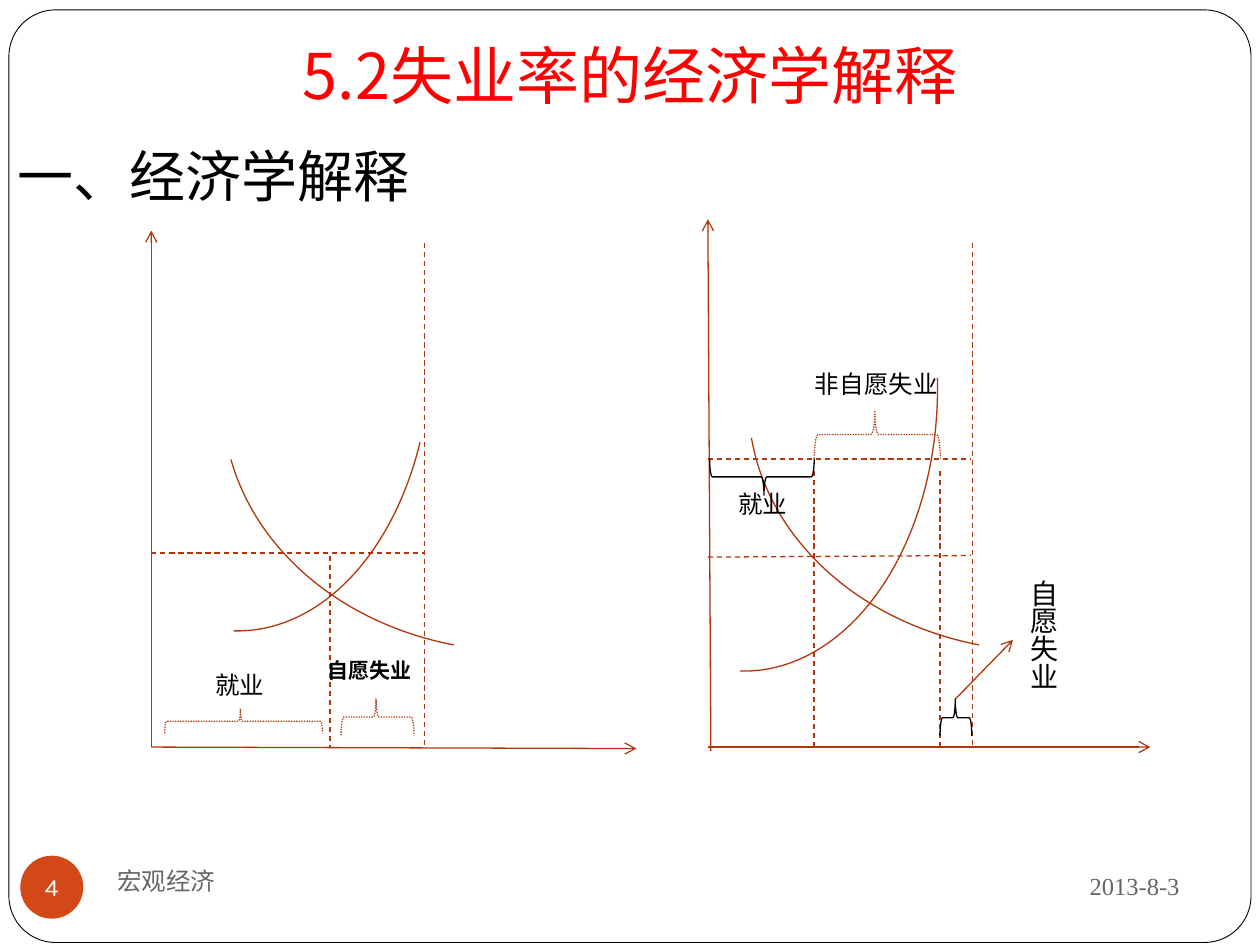
from lxml.etree import SubElement
from pptx import Presentation
from pptx.dml.color import RGBColor
from pptx.enum.dml import MSO_LINE as DASH
from pptx.enum.shapes import MSO_CONNECTOR, MSO_SHAPE as SHAPE
from pptx.enum.text import MSO_ANCHOR as ANCHOR, PP_ALIGN as ALIGN
from pptx.oxml.ns import qn
from pptx.util import Cm, Pt

CJK, SERIF = "Noto Sans CJK SC", "Times New Roman"
RUST, BLACK, GREY, WHITE = "B1360B", "000000", "696464", "FFFFFF"
color = RGBColor.from_string


def write(shape, text, size, font=SERIF, fill=BLACK, align=ALIGN.LEFT,
          anchor=ANCHOR.TOP, bold=False):
    frame = shape.text_frame
    frame.text = text
    frame.word_wrap = True
    frame.vertical_anchor = anchor
    paragraph = frame.paragraphs[0]
    paragraph.alignment = align
    run = paragraph.runs[0]
    run.font.size = Pt(size)
    run.font.bold = bold
    run.font.name = font
    run.font.color.rgb = color(fill)
    SubElement(run.font._element, qn("a:ea"), typeface=CJK)


def outline(shape, fill=RUST, width=0.75, dash=None):
    shape.line.color.rgb = color(fill)
    shape.line.width = Pt(width)
    if dash:
        shape.line.dash_style = dash


presentation = Presentation()
presentation.slide_width, presentation.slide_height = Cm(25.4), Cm(19.05)
slide = presentation.slides.add_slide(presentation.slide_layouts[5])
shapes = slide.shapes

# Title, in front of the rounded page frame
title = shapes.title
title.left, title.top, title.width, title.height = Cm(1.3), Cm(0.15), Cm(22.81), Cm(2.36)
write(title, "5.2失业率的经济学解释", 36, CJK, "FF0000", ALIGN.CENTER, ANCHOR.BOTTOM)
title.text_frame.margin_bottom = Cm(0.25)

page_frame = shapes.add_shape(SHAPE.ROUNDED_RECTANGLE, Cm(0.18), Cm(0.2), Cm(25.04), Cm(18.8))
page_frame.adjustments[0] = 0.05
page_frame.shadow.inherit = False
page_frame.fill.solid()
page_frame.fill.fore_color.rgb = color(WHITE)
outline(page_frame, BLACK, 0.5)
title.element.addprevious(page_frame.element)

# Footer: date, course and page number
date = shapes.add_textbox(Cm(17.15), Cm(17.2), Cm(6.88), Cm(1.32))
write(date, "2013-8-3", 14, fill=GREY, align=ALIGN.RIGHT, anchor=ANCHOR.MIDDLE)
course = shapes.add_textbox(Cm(2.11), Cm(17.12), Cm(11), Cm(1.27))
write(course, "宏观经济", 14, fill=GREY, anchor=ANCHOR.MIDDLE)

badge = shapes.add_shape(SHAPE.OVAL, Cm(0.41), Cm(17.25), Cm(1.27), Cm(1.27))
badge.shadow.inherit = False
badge.fill.solid()
badge.fill.fore_color.rgb = color("D34817")
badge.line.fill.background()
write(badge, "4", 14, "Karla", WHITE, ALIGN.CENTER, ANCHOR.MIDDLE)
frame = badge.text_frame
frame.word_wrap = False
frame.margin_left = frame.margin_right = frame.margin_top = frame.margin_bottom = 0

# Supply curves, then mirrored demand curves
for left, top, width, height, start, end, mirrored in [
    (0.89, 1.32, 7.8, 11.4, 16.36, 54.48, False),
    (11.1, 2.13, 7.8, 11.4, 214.13, 54.48, False),
    (4.5, 3.12, 11.99, 10.01, 6.62, 44.72, True),
    (15.09, 3.12, 11.99, 10.01, 4.05, 44.72, True),
]:
    curve = shapes.add_shape(SHAPE.ARC, Cm(left), Cm(top), Cm(width), Cm(height))
    curve.adjustments[0], curve.adjustments[1] = start, end
    curve.shadow.inherit = False
    curve.fill.background()
    outline(curve)
    if mirrored:
        curve.element.spPr.xfrm.set("flipH", "1")

# Axes and pointer have arrowheads, guide lines are dashed
BASE = 15.06
arrows = [
    (14.27, BASE, 23.19, BASE),
    (3.05, BASE, 12.83, 15.09),
    (3.05, BASE, 3.05, 4.65),
    (14.33, 15.14, 14.27, 4.42),
    (19.25, 14.1, 20.42, 12.9),
]
guides = [(x, top, x, BASE) for x, top in
          [(6.65, 11.2), (8.56, 4.9), (19.61, 4.9), (16.41, 9.5), (18.95, 9.5)]]
guides += [
    (3.05, 11.15, 8.56, 11.15),
    (14.27, 11.23, 19.58, 11.2),
    (14.27, 9.25, 19.58, 9.25),
]
for ends in arrows + guides:
    line = shapes.add_connector(MSO_CONNECTOR.STRAIGHT, *map(Cm, ends))
    outline(line, dash=DASH.DASH if ends in guides else None)
    if ends in arrows:
        SubElement(line.line._get_or_add_ln(), qn("a:tailEnd"), type="arrow")
    SubElement(line.element.spPr, qn("a:effectLst"))

# Braces over the employment ranges
for left, top, width, height, fill, dash, flipped in [
    (4.67, 12.95, 0.48, 3.18, RUST, DASH.ROUND_DOT, False),
    (17.2, 7.49, 0.97, 2.54, RUST, DASH.ROUND_DOT, False),
    (7.24, 13.72, 0.74, 1.47, RUST, DASH.ROUND_DOT, False),
    (18.9, 14.15, 0.74, 0.64, BLACK, None, False),
    (14.99, 8.56, 0.74, 2.11, BLACK, None, True),
]:
    brace = shapes.add_shape(SHAPE.LEFT_BRACE, Cm(left), Cm(top), Cm(width), Cm(height))
    brace.adjustments[0], brace.adjustments[1] = 0.08, 0.52
    brace.rotation = 90
    brace.shadow.inherit = False
    brace.fill.background()
    outline(brace, fill, dash=dash)
    if flipped:
        brace.element.spPr.xfrm.set("flipH", "1")
        brace.element.spPr.xfrm.set("flipV", "1")

# Heading and labels
for text, left, top, width, height, size, font, bold in [
    ("一、经济学解释", 0.1, 2.72, 8.99, 1.63, 32, CJK, False),
    ("非自愿失业", 16.18, 7.32, 3.18, 1.04, 14, SERIF, False),
    ("就业", 4.09, 13.39, 1.91, 1.04, 14, SERIF, False),
    ("自愿失业", 6.35, 13.13, 2.77, 0.94, 12, SERIF, True),
    ("就业", 14.63, 9.73, 1.91, 1.04, 14, SERIF, False),
]:
    label = shapes.add_textbox(Cm(left), Cm(top), Cm(width), Cm(height))
    write(label, text, size, font, bold=bold)

vertical_label = shapes.add_textbox(Cm(20.22), Cm(11.43), Cm(1.27), Cm(3.89))
write(vertical_label, "自愿失业", 16)
vertical_label.text_frame._txBody.bodyPr.set("vert", "eaVert")

presentation.save("out.pptx")
